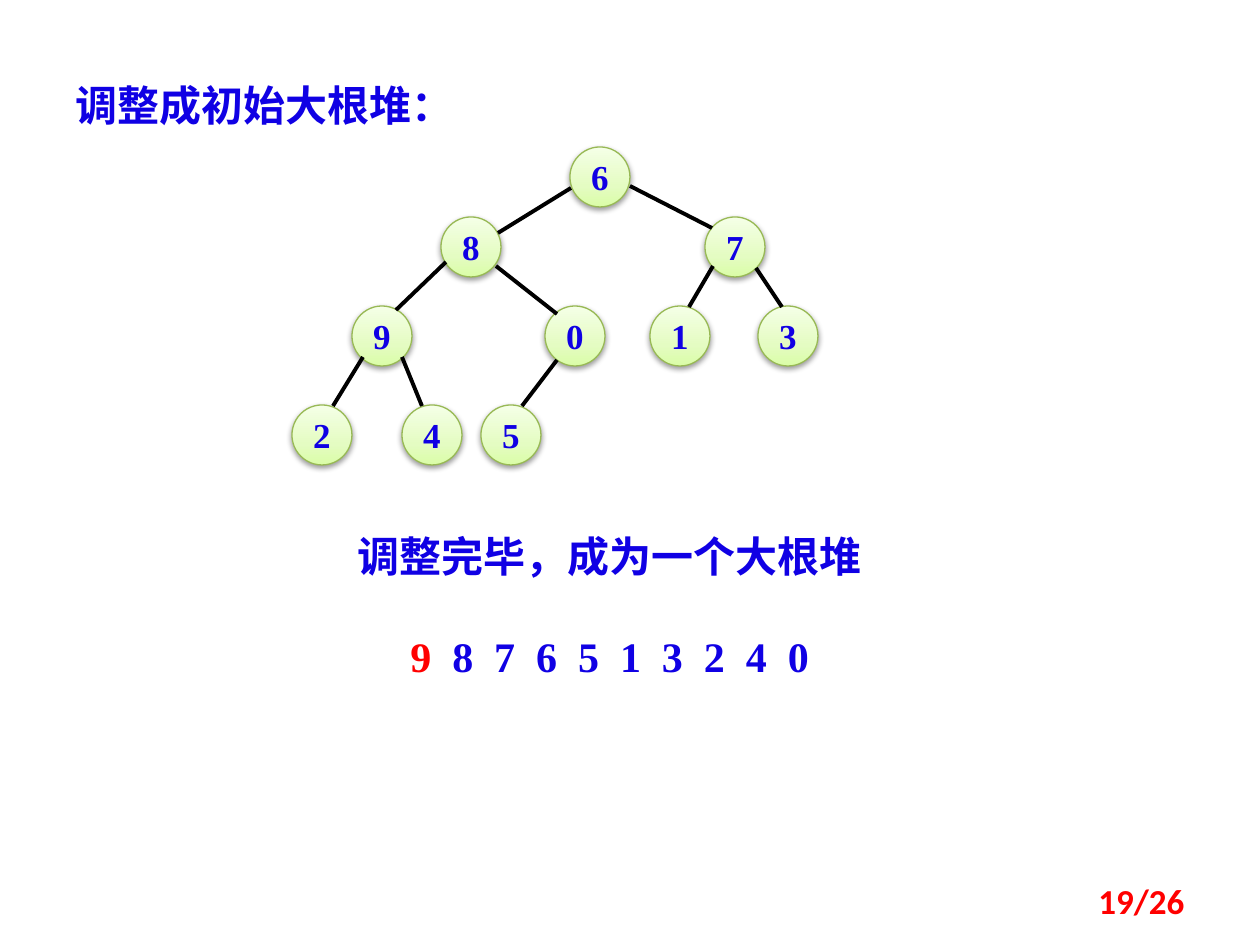
from copy import deepcopy
from dataclasses import dataclass

from lxml.etree import SubElement
from pptx import Presentation
from pptx.dml.color import RGBColor
from pptx.enum.shapes import MSO_CONNECTOR, MSO_SHAPE
from pptx.enum.text import MSO_ANCHOR, PP_ALIGN
from pptx.oxml.ns import qn
from pptx.util import Pt

PX = 914400 / 126


@dataclass(frozen=True)
class Theme:
    ink: RGBColor = RGBColor.from_string("1000E4")
    accent: RGBColor = RGBColor.from_string("FF0000")
    edge: RGBColor = RGBColor.from_string("000000")
    node_line: RGBColor = RGBColor.from_string("98B955")
    node_stops: tuple = ((0, "DAFDA7"), (0.35, "E4FCC2"), (1, "F5FFE7"))
    body_font: str = "Times New Roman"
    page_font: str = "Calibri"
    heading_size: int = 24
    small_size: int = 20


THEME = Theme()
NODE_SIZE = 60
ROW_TOPS = (0, 70, 159, 258)

# Each row of the tree: value and left offset
TREE_ROWS = (
    (("6", 278),),
    (("8", 149), ("7", 413)),
    (("9", 60), ("0", 253), ("1", 358), ("3", 466)),
    (("2", 0), ("4", 110), ("5", 189)),
)

# Each branch: start x, y and end x, y
BRANCHES = (
    (279, 41, 206, 86), (338, 39, 420, 81),
    (154, 115, 104, 163), (204, 119, 265, 167),
    (421, 119, 397, 160), (464, 121, 490, 160),
    (71, 210, 41, 259), (110, 210, 130, 259), (265, 213, 230, 259),
)


def emu(*lengths):
    return [round(length * PX) for length in lengths]


def style(paragraph, size, color, align, font=THEME.body_font):
    paragraph.alignment = align
    paragraph.font.name = font
    paragraph.font.size = Pt(size)
    paragraph.font.bold = True
    if color is not None:
        paragraph.font.color.rgb = color


def add_label(slide, box, text, align=PP_ALIGN.LEFT):
    frame = slide.shapes.add_textbox(*emu(*box)).text_frame
    frame.word_wrap = True
    paragraph = frame.paragraphs[0]
    paragraph.text = text
    style(paragraph, THEME.heading_size, THEME.ink, align)


def add_node(slide, left, top, value):
    node = slide.shapes.add_shape(MSO_SHAPE.OVAL, *emu(left, top, NODE_SIZE, NODE_SIZE))
    node.line.color.rgb = THEME.node_line
    node.line.width = Pt(0.75)

    # Three-stop gradient, lightest at the top
    node.fill.gradient()
    node.fill.gradient_angle = 90
    stop_list = node.fill.gradient_stops[0]._gs.getparent()
    stop_list.insert(1, deepcopy(stop_list[0]))
    for stop, (position, color) in zip(node.fill.gradient_stops, THEME.node_stops):
        stop.position = position
        stop.color.rgb = RGBColor.from_string(color)

    # Soft shadow below
    node.shadow.inherit = False
    effects = node._element.spPr.find(qn("a:effectLst"))
    shadow = SubElement(effects, qn("a:outerShdw"), blurRad="40000", dist="20000",
                        dir="5400000", rotWithShape="0")
    shade = SubElement(shadow, qn("a:srgbClr"), val="000000")
    SubElement(shade, qn("a:alpha"), val="38000")

    frame = node.text_frame
    frame.word_wrap = False
    frame.vertical_anchor = MSO_ANCHOR.MIDDLE
    paragraph = frame.paragraphs[0]
    paragraph.text = value
    style(paragraph, THEME.small_size, THEME.ink, PP_ALIGN.CENTER)


def add_tree(slide, left, top):
    for row_top, row in zip(ROW_TOPS, TREE_ROWS):
        for value, offset in row:
            add_node(slide, left + offset, top + row_top, value)
    for x1, y1, x2, y2 in BRANCHES:
        branch = slide.shapes.add_connector(
            MSO_CONNECTOR.STRAIGHT, *emu(left + x1, top + y1, left + x2, top + y2))
        branch.line.color.rgb = THEME.edge
        branch.line.width = Pt(2.25)
        SubElement(branch._element.spPr, qn("a:effectLst"))


def add_result(slide, left, top):
    add_label(slide, (left, top, 595, 63), "调整完毕，成为一个大根堆", PP_ALIGN.CENTER)

    # Heap order, with the largest value highlighted
    frame = slide.shapes.add_textbox(*emu(left + 20, top + 100, 556, 64)).text_frame
    frame.word_wrap = True
    paragraph = frame.paragraphs[0]
    style(paragraph, THEME.heading_size, None, PP_ALIGN.CENTER)
    for text, color in (("9", THEME.accent), (" 8 7 6 5 1 3 2 4 0", THEME.ink)):
        run = paragraph.add_run()
        run.text = text
        run.font.color.rgb = color
        run._r.get_or_add_rPr().set("spc", "300")


def add_page_number(slide, box):
    frame = slide.shapes.add_textbox(*emu(*box)).text_frame
    frame.word_wrap = True
    frame.vertical_anchor = MSO_ANCHOR.MIDDLE
    paragraph = frame.paragraphs[0]
    paragraph.text = "19/26"
    style(paragraph, THEME.small_size, THEME.accent, PP_ALIGN.RIGHT, THEME.page_font)


def main():
    deck = Presentation()
    deck.slide_width, deck.slide_height = emu(1260, 945)
    slide = deck.slides.add_slide(deck.slide_layouts[6])
    add_label(slide, (63, 73, 449, 63), "调整成初始大根堆：")
    add_tree(slide, 292, 147)
    add_result(slide, 312, 524)
    add_page_number(slide, (903, 876, 294, 50))
    deck.save("out.pptx")


if __name__ == "__main__":
    main()
